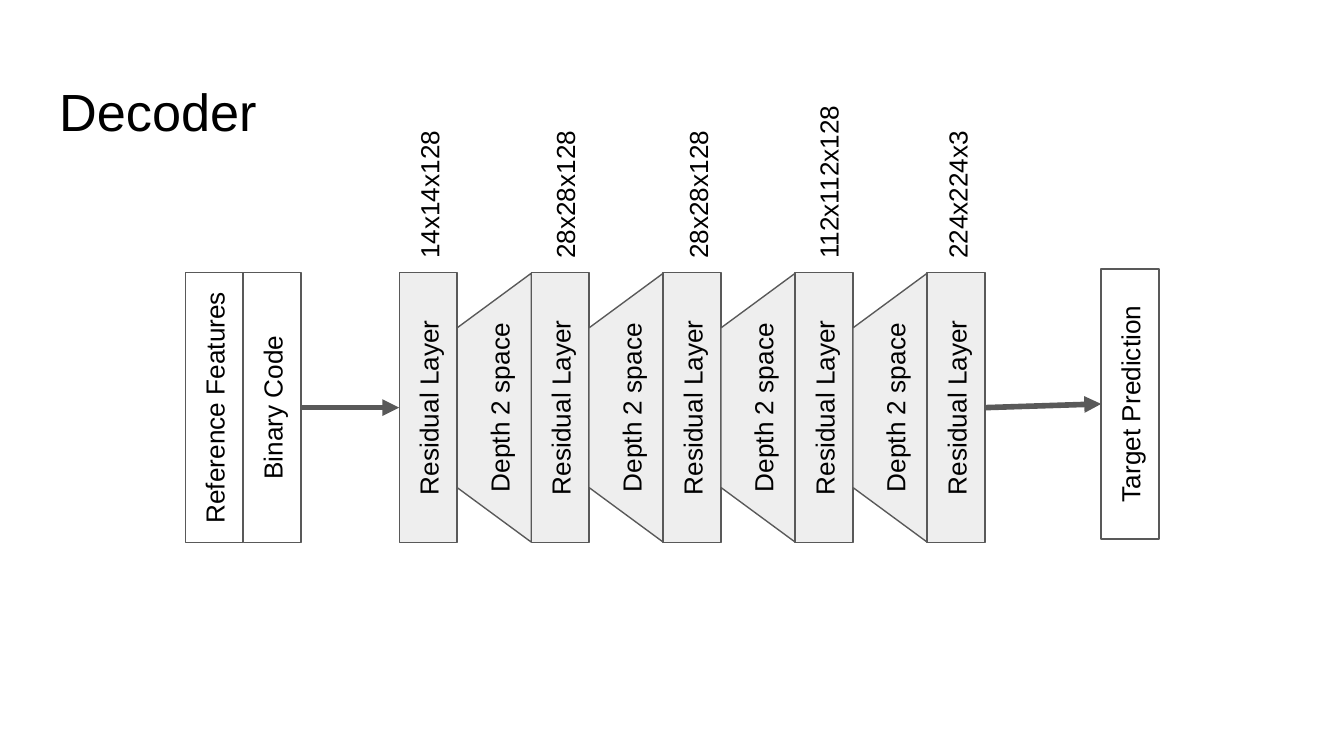
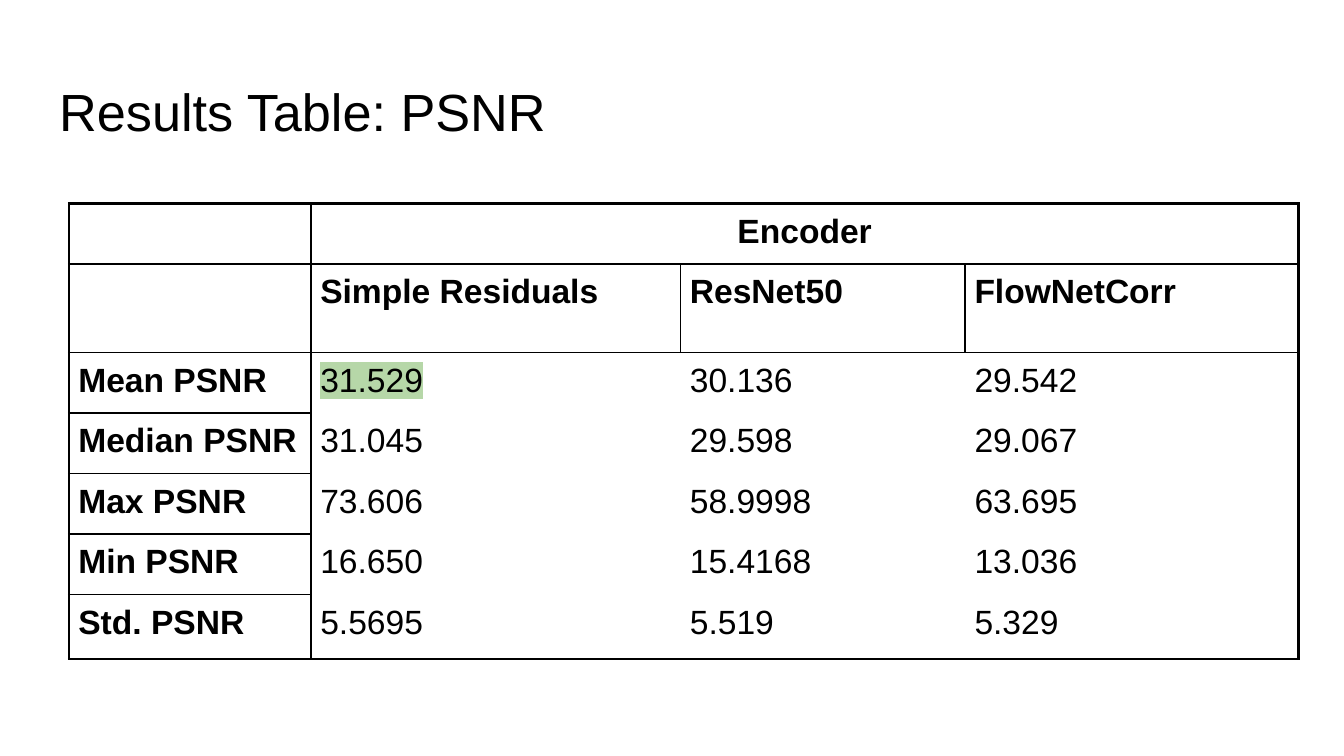
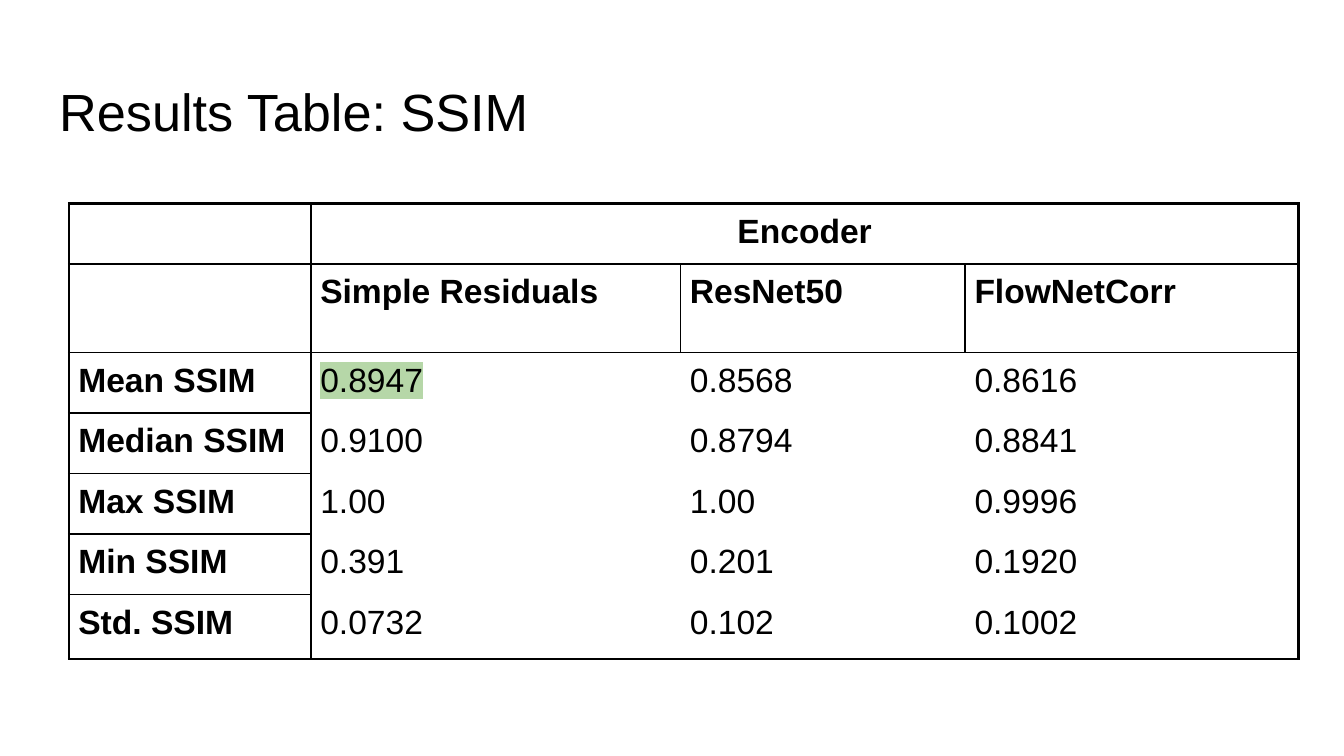
from dataclasses import dataclass
from lxml import etree
from pptx import Presentation
from pptx.dml.color import RGBColor
from pptx.enum import shapes, text
from pptx.oxml import ns
from pptx.util import Pt


@dataclass(frozen=True)
class Theme:
    font: str = "Arial"
    ink: str = "000000"
    paper: str = "FFFFFF"
    edge: str = "595959"
    layer: str = "EEEEEE"
    best: str = "B6D7A8"
    title: int = 28
    label: int = 14
    cell: int = 18
    thin: float = 1
    thick: float = 1.5


T = Theme()

# Decoder diagram: upright bars, given by the middle of each
INPUTS = [("Reference Features", 114.8), ("Binary Code", 145.8)]
TARGET = ("Target Prediction", 605.4, 216.4)
SIZES = [("14x14x128", 227.9), ("28x28x128", 300.6), ("28x28x128", 371.9),
         ("112x112x128", 441.7), ("224x224x3", 510.8)]
BAR = (144.7, 31)
RAMP = (144, 39.7)
SIZE = (100, 27.4)
MID, SIZE_MID = 218.4, 95.8
FIRST, STEP, RAMP_GAP = 229.4, 70.7, 35.4

# Result tables
COLS = [129.6, 198, 152.5, 178.5]
ROWS = [32.4, 47.3] + [32.4] * 4 + [34.6]
ENCODERS = ["Simple Residuals", "ResNet50", "FlowNetCorr"]
STATS = ["Mean", "Median", "Max", "Min", "Std."]
RESULTS = [
    ("PSNR", 1, [
        ("31.529", "30.136", "29.542"),
        ("31.045", "29.598", "29.067"),
        ("73.606", "58.9998", "63.695"),
        ("16.650", "15.4168", "13.036"),
        ("5.5695", "5.519", "5.329")]),
    ("SSIM", 0.75, [
        ("0.8947", "0.8568", "0.8616"),
        ("0.9100", "0.8794", "0.8841"),
        ("1.00", "1.00", "0.9996"),
        ("0.391", "0.201", "0.1920"),
        ("0.0732", "0.102", "0.1002")]),
]


def color(code):
    return RGBColor.from_string(code)


def sub(node, tag, **attrs):
    return etree.SubElement(node, ns.qn(tag), attrs)


def write(frame, words, size, pad=7.2, align=text.PP_ALIGN.LEFT, bold=False):
    """Fill a text frame or cell frame with one paragraph and return its run."""
    frame.margin_left = frame.margin_right = Pt(pad)
    frame.margin_top = frame.margin_bottom = Pt(pad)
    par = frame.paragraphs[0]
    run = par.add_run()
    run.text = words
    par.alignment = align
    font = par.font
    font.name, font.size, font.bold = T.font, Pt(size), bold
    font.color.rgb = color(T.ink)
    return run


def add_slide(deck, words):
    slide = deck.slides.add_slide(deck.slide_layouts[5])
    title = slide.shapes.title
    title.left, title.top, title.width, title.height = map(Pt, (24.5, 35.1, 671, 45.1))
    frame = title.text_frame
    frame.auto_size = text.MSO_AUTO_SIZE.NONE
    frame.vertical_anchor = text.MSO_ANCHOR.TOP
    write(frame, words, T.title)
    return slide


def place(x, y, size):
    """Box of the given size around a middle point."""
    wide, high = size
    return [Pt(v) for v in (x - wide / 2, y - high / 2, wide, high)]


def add_block(slide, words, x, y=MID, fill=T.paper, ramp=False):
    kind = shapes.MSO_SHAPE.TRAPEZOID if ramp else shapes.MSO_SHAPE.RECTANGLE
    block = slide.shapes.add_shape(kind, *place(x, y, RAMP if ramp else BAR))
    if ramp:
        block.adjustments[0] = 0.736
    block.rotation = 270
    block.shadow.inherit = False
    block.fill.solid()
    block.fill.fore_color.rgb = color(fill)
    block.line.color.rgb = color(T.edge)
    block.line.width = Pt(0.75)
    block.text_frame.word_wrap = True
    block.text_frame.vertical_anchor = text.MSO_ANCHOR.MIDDLE
    write(block.text_frame, words, T.label, align=text.PP_ALIGN.CENTER)
    return block


def add_arrow(slide, start, end):
    """Arrow from the right side of one turned bar to the left side of the next."""
    arrow = slide.shapes.add_connector(shapes.MSO_CONNECTOR.STRAIGHT, 0, 0, 0, 0)
    # A quarter turn to the left puts a bar's bottom on the right, its top on the left
    arrow.begin_connect(start, 2)
    arrow.end_connect(end, 0)
    arrow.begin_x = start.left + (start.width + start.height) // 2
    arrow.begin_y = start.top + start.height // 2
    arrow.end_x = end.left + (end.width - end.height) // 2
    arrow.end_y = end.top + end.height // 2
    arrow.line.color.rgb = color(T.edge)
    arrow.line.width = Pt(3)
    sub(arrow.line._get_or_add_ln(), "a:tailEnd", type="triangle")
    sub(arrow._element.spPr, "a:effectLst")


def add_decoder(deck):
    slide = add_slide(deck, "Decoder")
    inputs = [add_block(slide, *item) for item in INPUTS]
    layers = []
    for i in range(len(SIZES)):
        x = FIRST + i * STEP
        if i:
            add_block(slide, "Depth 2 space", x - RAMP_GAP, fill=T.layer, ramp=True)
        layers.append(add_block(slide, "Residual Layer", x, fill=T.layer))
    target = add_block(slide, *TARGET)
    add_arrow(slide, inputs[-1], layers[0])
    add_arrow(slide, layers[-1], target)
    for words, x in SIZES:
        box = slide.shapes.add_textbox(*place(x, SIZE_MID, SIZE))
        box.rotation = 270
        box.text_frame.word_wrap = True
        write(box.text_frame, words, T.label)


def edges(r, c, rule):
    """Border widths (left, right, top, bottom); rule is the line under the header."""
    last_r, last_c = len(ROWS) - 1, len(COLS) - 1
    across = T.thin if c == 0 else 0
    inner = T.thin if r == 1 else 0
    under = T.thin if c == 0 else rule
    left = T.thick if c == 0 else T.thin if c == 1 else inner
    right = T.thick if c == last_c or (r == 0 and c) else T.thin if c == 0 else inner
    top = {0: T.thick, 1: T.thin, 2: under}.get(r, across)
    bottom = {0: T.thin, 1: under, last_r: T.thick}.get(r, across)
    return left, right, top, bottom


def add_borders(cell, widths):
    props = cell._tc.get_or_add_tcPr()
    for side, width in zip("LRTB", widths):
        line = sub(props, "a:ln" + side, w=str(Pt(width)))
        if width:
            sub(sub(line, "a:solidFill"), "a:srgbClr", val=T.ink)
        else:
            sub(line, "a:noFill")


def mark(run, code):
    sub(sub(run._r.get_or_add_rPr(), "a:highlight"), "a:srgbClr", val=code)


def add_results(deck, metric, rule, values):
    slide = add_slide(deck, f"Results Table: {metric}")
    grid = [["", "Encoder", "", ""], ["", *ENCODERS]]
    grid += [[f"{stat} {metric}", *row] for stat, row in zip(STATS, values)]
    table = slide.shapes.add_table(
        len(ROWS), len(COLS), Pt(37), Pt(109.1), Pt(sum(COLS)), Pt(sum(ROWS))).table
    table.first_row = table.horz_banding = False
    for col, width in zip(table.columns, COLS):
        col.width = Pt(width)
    for row, height in zip(table.rows, ROWS):
        row.height = Pt(height)
    table.cell(0, 1).merge(table.cell(0, 3))
    for r, row in enumerate(grid):
        for c, words in enumerate(row):
            cell = table.cell(r, c)
            add_borders(cell, edges(r, c, rule))
            cell.fill.background()
            if not words:
                continue
            align = text.PP_ALIGN.CENTER if r == 0 else text.PP_ALIGN.LEFT
            cell.margin_left = cell.margin_right = Pt(5)
            cell.margin_top = cell.margin_bottom = Pt(5)
            run = write(cell.text_frame, words, T.cell, 5, align, r < 2 or c == 0)
            if (r, c) == (2, 1):
                mark(run, T.best)
            elif c and (r != 1 or c == 1):
                mark(run, T.paper)


def main():
    deck = Presentation()
    deck.slide_width, deck.slide_height = Pt(720), Pt(405)
    add_decoder(deck)
    for result in RESULTS:
        add_results(deck, *result)
    deck.save("out.pptx")


if __name__ == "__main__":
    main()
